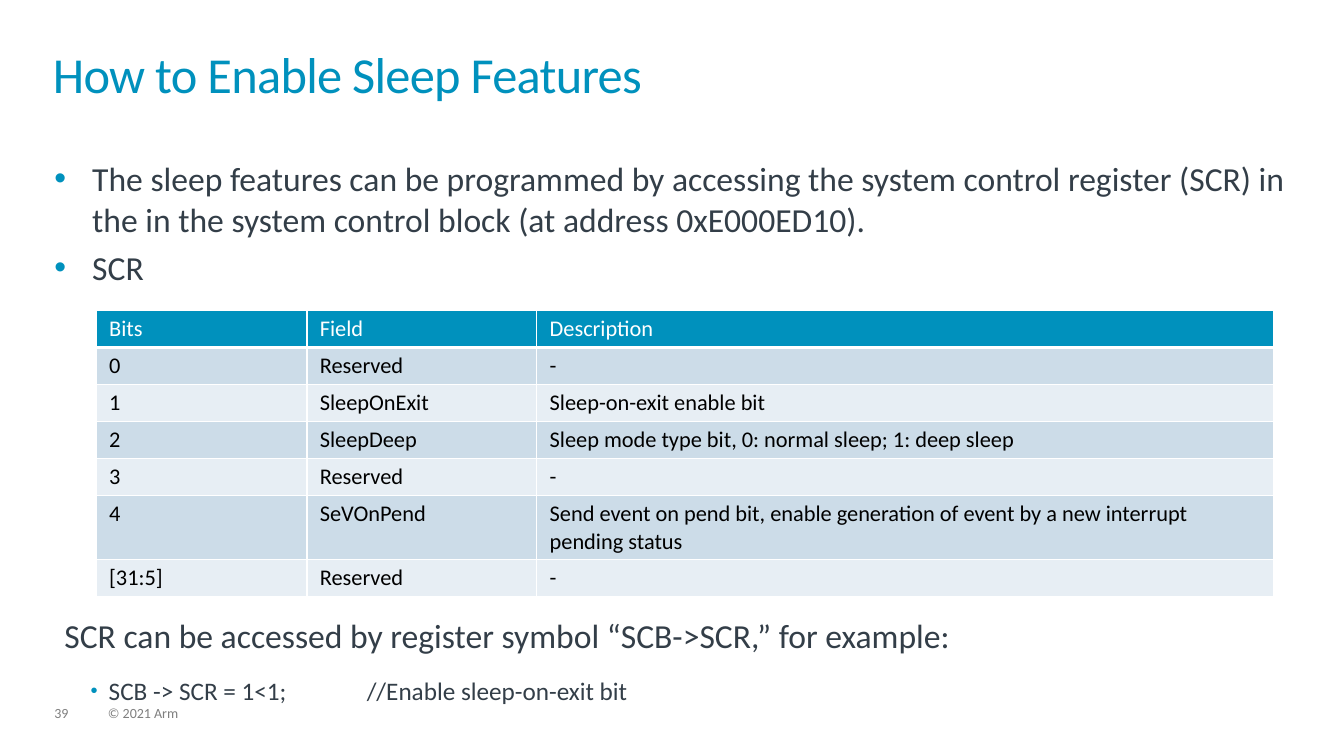
import pptx
import pptx.dml.color
import pptx.oxml
import pptx.oxml.ns
import pptx.util
from lxml import etree

Pt = pptx.util.Pt
FONT = "Calibri"
COLORS = {
    "accent": "0091BD",
    "body": "333E48",
    "footer": "7F7F7F",
    "white": "FFFFFF",
    "black": "000000",
    "band_dark": "CCDCE8",
    "band_light": "E7EEF4",
}
REGISTER_ROWS = [
    ("Bits", "Field", "Description"),
    ("0", "Reserved", "-"),
    ("1", "SleepOnExit", "Sleep-on-exit enable bit"),
    ("2", "SleepDeep", "Sleep mode type bit, 0: normal sleep; 1: deep sleep"),
    ("3", "Reserved", "-"),
    ("4", "SeVOnPend", "Send event on pend bit, enable generation of event "
                       "by a new interrupt pending status"),
    ("[31:5]", "Reserved", "-"),
]


def rgb(color):
    return pptx.dml.color.RGBColor.from_string(COLORS[color])


def add_xml(parent, tag, **attributes):
    element = etree.SubElement(parent, pptx.oxml.ns.qn(tag))
    for name, value in attributes.items():
        element.set(name, str(value))
    return element


def write(paragraph, text, size, color, **formats):
    """Add one run and apply paragraph formats such as line_spacing."""
    run = paragraph.add_run()
    run.text = text
    for name, value in {"name": FONT, "size": Pt(size), "bold": False}.items():
        setattr(run.font, name, value)
    run.font.color.rgb = rgb(color)
    for name, value in formats.items():
        setattr(paragraph, name, value)
    return run


def add_bullet(paragraph, margin, hanging, percent=100):
    properties = paragraph._p.get_or_add_pPr()
    properties.set("marL", str(Pt(margin)))
    properties.set("indent", str(-Pt(hanging)))
    add_xml(add_xml(properties, "a:buClr"), "a:srgbClr", val=COLORS["accent"])
    add_xml(properties, "a:buSzPct", val=percent * 1000)
    add_xml(properties, "a:buFont", typeface="Arial")
    add_xml(properties, "a:buChar", char="•")


def add_text_frame(slide, box, inset_x=0, inset_y=0):
    frame = slide.shapes.add_textbox(*map(Pt, box)).text_frame
    formats = {
        "word_wrap": True,
        "margin_left": Pt(inset_x), "margin_right": Pt(inset_x),
        "margin_top": Pt(inset_y), "margin_bottom": Pt(inset_y),
    }
    for name, value in formats.items():
        setattr(frame, name, value)
    return frame


def add_footer(slide, left, top, width, height):
    number_width, text_offset = 24.5, 38.2
    parts = [
        ("39", left, number_width),
        ("© 2021 Arm", left + text_offset, width - text_offset),
    ]
    for text, part_left, part_width in parts:
        frame = add_text_frame(slide, (part_left, top, part_width, height))
        write(frame.paragraphs[0], text, 10, "footer", line_spacing=0.9)


def add_title(slide, *box):
    frame = add_text_frame(slide, box)
    run = write(frame.paragraphs[0], "How to Enable Sleep Features", 36, "accent",
                line_spacing=0.85)
    run.font._element.set("spc", "-50")


def add_introduction(slide, *box):
    frame = add_text_frame(slide, box)
    first, second = frame.paragraphs[0], frame.add_paragraph()
    for paragraph in (first, second):
        add_bullet(paragraph, 27, 27)
    write(first, "The sleep features can be programmed by accessing the system control "
                 "register (SCR) in the in the system control block "
                 "(at address 0xE000ED10).", 24, "body")
    write(second, "SCR", 24, "body", space_before=Pt(6))


def style_cell(cell, fill, bottom_width, top_width):
    widths = {"a:lnL": 1, "a:lnR": 1, "a:lnT": top_width, "a:lnB": bottom_width}
    properties = cell._tc.get_or_add_tcPr()
    for tag, width in widths.items():
        line = add_xml(properties, tag, w=Pt(width))
        add_xml(add_xml(line, "a:solidFill"), "a:srgbClr", val=COLORS["white"])
    cell.fill.solid()
    cell.fill.fore_color.rgb = rgb(fill)
    cell.margin_left = cell.margin_right = Pt(9.2)
    cell.margin_top = cell.margin_bottom = Pt(3.6)


def add_register_table(slide, left, top, width, height):
    column_widths = (150.5, 164.2, width - 150.5 - 164.2)
    row_height, tall_row, tall_height = 24.5, 5, height - 6 * 24.5
    table = slide.shapes.add_table(len(REGISTER_ROWS), len(column_widths),
                                   *map(Pt, (left, top, width, height))).table
    for column, column_width in zip(table.columns, column_widths):
        column.width = Pt(column_width)
    for row_index, texts in enumerate(REGISTER_ROWS):
        is_header = row_index == 0
        band = "band_dark" if row_index % 2 else "band_light"
        table.rows[row_index].height = Pt(tall_height if row_index == tall_row
                                          else row_height)
        for column_index, text in enumerate(texts):
            cell = table.cell(row_index, column_index)
            style_cell(cell, "accent" if is_header else band,
                       bottom_width=3 if is_header else 1,
                       top_width=3 if row_index == 1 else 1)
            write(cell.text_frame.paragraphs[0], text, 16,
                  "white" if is_header else "black")


def add_code_example(slide, *box):
    frame = add_text_frame(slide, box, inset_x=7.2, inset_y=3.6)
    write(frame.paragraphs[0],
          "SCR can be accessed by register symbol “SCB->SCR,” for example:",
          24, "body", line_spacing=0.9, space_after=Pt(16))
    statement = frame.add_paragraph()
    add_bullet(statement, 31.7, 13, percent=80)
    write(statement, "SCB -> SCR = 1<1;\t\t//Enable sleep-on-exit bit", 18, "body",
          level=1, line_spacing=0.9, space_after=Pt(12))


def main():
    presentation = pptx.Presentation()
    presentation.slide_width, presentation.slide_height = Pt(960), Pt(540)
    slide = presentation.slides.add_slide(presentation.slide_layouts[6])
    add_footer(slide, 38.9, 504.7, 403, 10.8)
    add_title(slide, 37.8, 37.4, 884, 51.8)
    add_introduction(slide, 38.9, 113, 880.6, 79.2)
    add_register_table(slide, 68.8, 221.8, 841, 185)
    add_code_example(slide, 38.9, 439.2, 870.5, 69)
    presentation.save("out.pptx")


if __name__ == "__main__":
    main()
